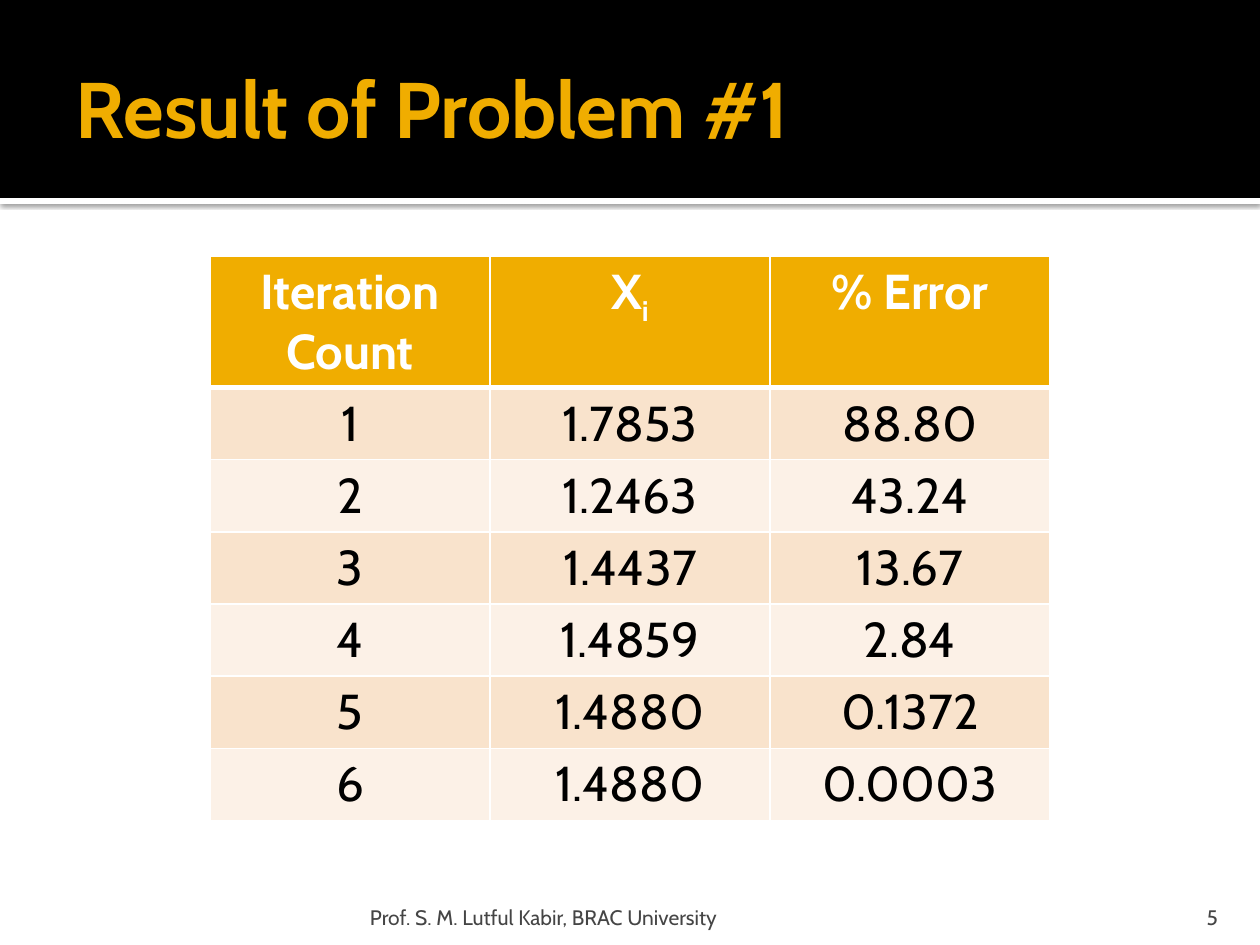
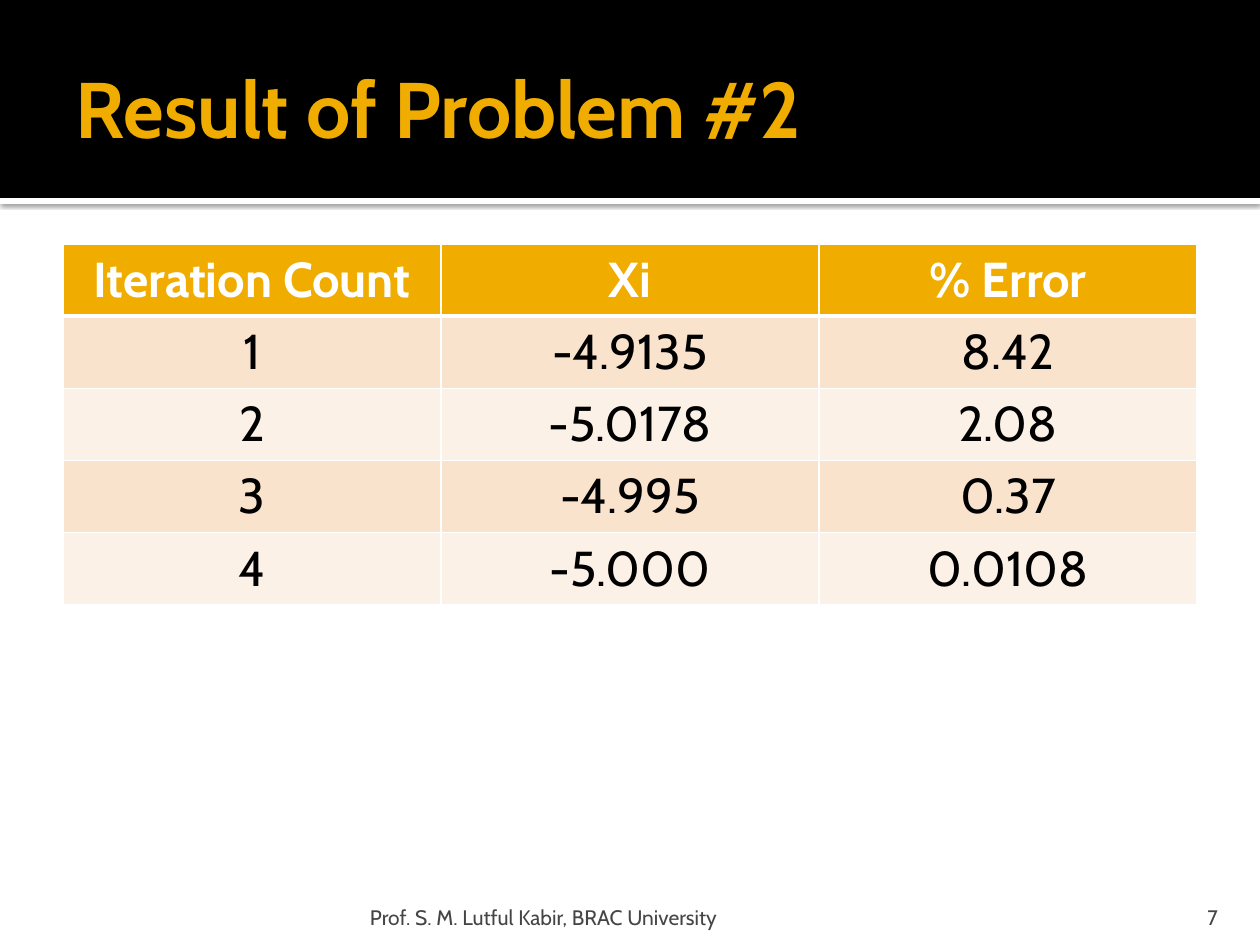
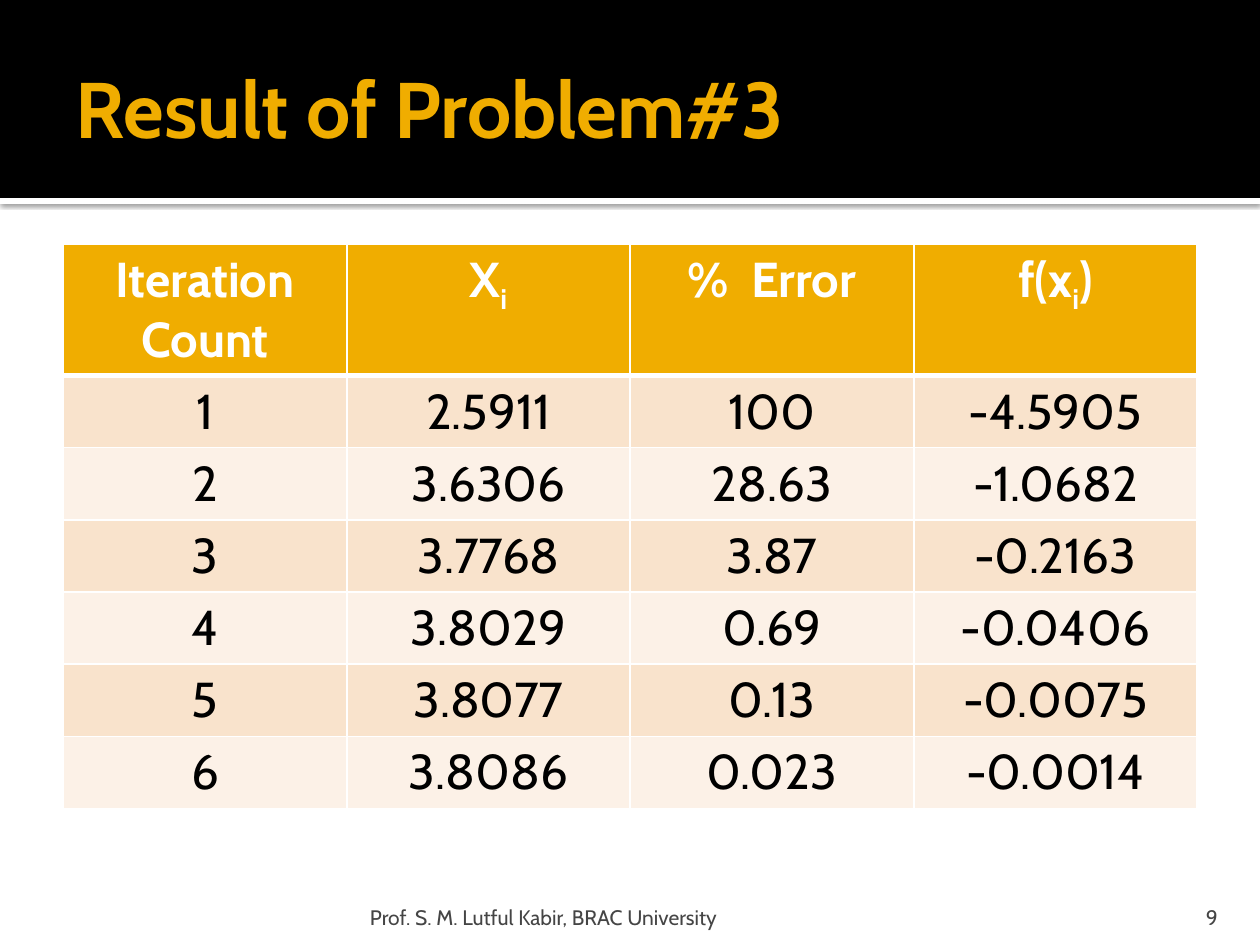
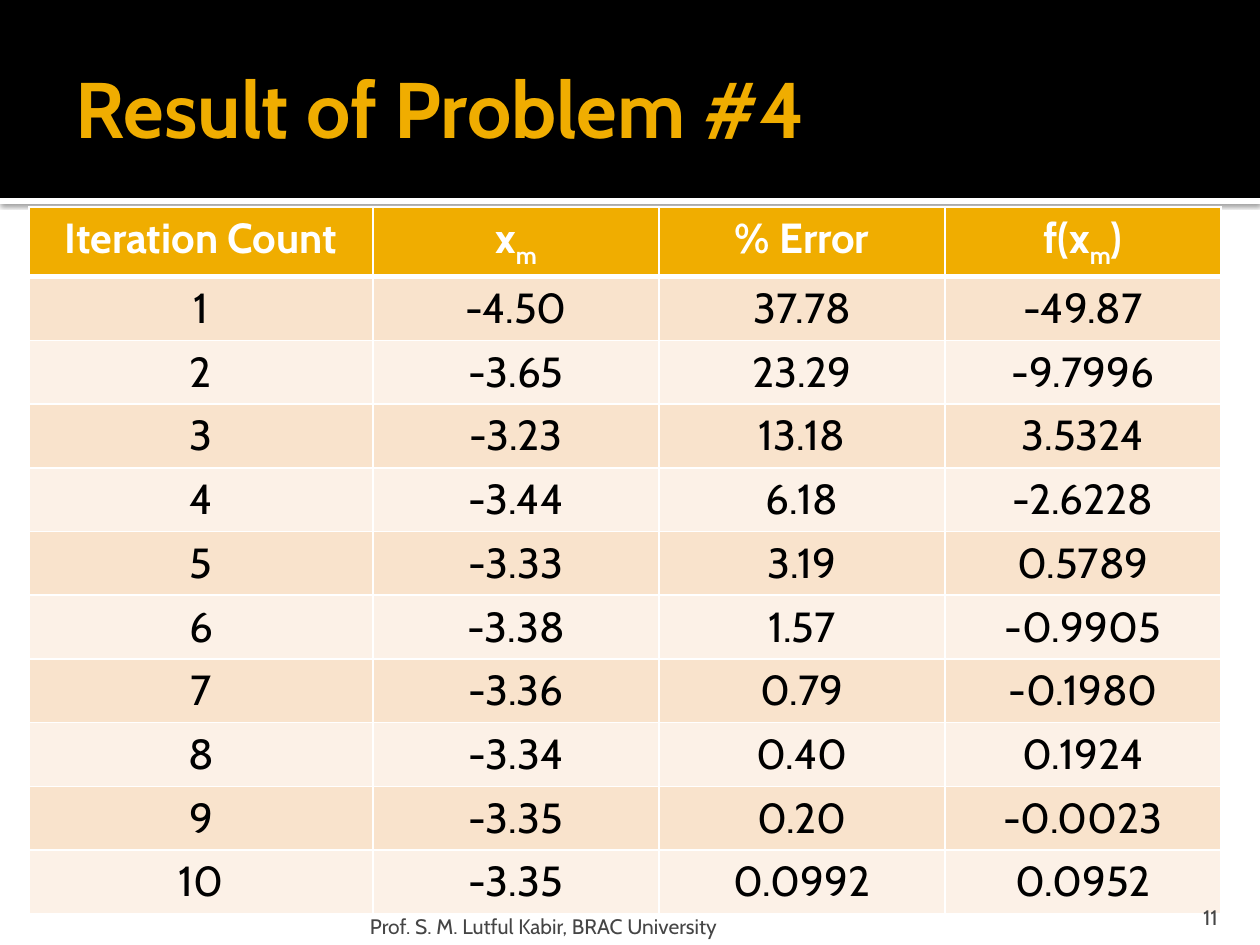
"""Build four slides of iteration results, one table per problem."""
from lxml import etree
from pptx import Presentation
from pptx import util as u
from pptx.dml.color import RGBColor
from pptx.enum import shapes, text
from pptx.oxml import ns

COLORS = {
    "band": "000000", "accent": "F0AD00", "paper": "FFFFFF", "footer": "454545",
    "body": "000000", "odd_row": "F9E3CC", "even_row": "FCF1E7",
}
FONT = "Cabin"
FOOTER = "Prof. S. M. Lutful Kabir, BRAC University"
SLIDE_WIDTH, SLIDE_HEIGHT = 1260, 945
BAND_HEIGHT, STRIPE_HEIGHT = 198, 6

RESULTS = [
    {
        "title": "Result of Problem #1", "number": "5", "footer_top": 892,
        "left": 210, "top": 256, "columns": [280] * 3,
        "header_height": 128, "row_height": 71, "size": 28,
        "header": ["Iteration Count", "X_i", "% Error"],
        "rows": [
            ("1", "1.7853", "88.80"),
            ("2", "1.2463", "43.24"),
            ("3", "1.4437", "13.67"),
            ("4", "1.4859", "2.84"),
            ("5", "1.4880", "0.1372"),
            ("6", "1.4880", "0.0003"),
        ],
    },
    {
        "title": "Result of Problem #2", "number": "7", "footer_top": 892,
        "left": 63, "top": 244, "columns": [378] * 3,
        "header_height": 71, "row_height": 71, "size": 28,
        "header": ["Iteration Count", "Xi", "% Error"],
        "rows": [
            ("1", "-4.9135", "8.42"),
            ("2", "-5.0178", "2.08"),
            ("3", "-4.995", "0.37"),
            ("4", "-5.000", "0.0108"),
        ],
    },
    {
        "title": "Result of Problem#3", "number": "9", "footer_top": 892,
        "left": 63, "top": 244, "columns": [284, 283, 284, 283],
        "header_height": 128, "row_height": 71, "size": 28,
        "header": ["Iteration Count", "X_i", "%  Error", "f(x_i)"],
        "rows": [
            ("1", "2.5911", "100", "-4.5905"),
            ("2", "3.6306", "28.63", "-1.0682"),
            ("3", "3.7768", "3.87", "-0.2163"),
            ("4", "3.8029", "0.69", "-0.0406"),
            ("5", "3.8077", "0.13", "-0.0075"),
            ("6", "3.8086", "0.023", "-0.0014"),
        ],
    },
    {
        "title": "Result of Problem #4", "number": "11", "footer_top": 901,
        "left": 29, "top": 207, "columns": [344, 286, 286, 276],
        "header_height": 68, "row_height": 63, "size": 24,
        "header": ["Iteration Count", "x_m", "% Error", "f(x_m)"],
        "rows": [
            ("1", "-4.50", "37.78", "-49.87"),
            ("2", "-3.65", "23.29", "-9.7996"),
            ("3", "-3.23", "13.18", "3.5324"),
            ("4", "-3.44", "6.18", "-2.6228"),
            ("5", "-3.33", "3.19", "0.5789"),
            ("6", "-3.38", "1.57", "-0.9905"),
            ("7", "-3.36", "0.79", "-0.1980"),
            ("8", "-3.34", "0.40", "0.1924"),
            ("9", "-3.35", "0.20", "-0.0023"),
            ("10", "-3.35", "0.0992", "0.0952"),
        ],
    },
]


def px(length):
    return u.Emu(round(length * 914400 / 126))


def rgb(name):
    return RGBColor.from_string(COLORS[name])


def add_element(parent, tag, **attributes):
    element = etree.SubElement(parent, ns.qn(tag))
    for name, value in attributes.items():
        element.set(name, str(value))
    return element


def format_run(run, size, color, bold=False):
    run.font.name = FONT
    run.font.size = u.Pt(size)
    run.font.bold = bold
    run.font.color.rgb = rgb(color)


def set_text(shape, words, size, color, anchor, insets, align, bold=False):
    frame = shape.text_frame
    frame.text = words
    frame.word_wrap = True
    frame.auto_size = text.MSO_AUTO_SIZE.NONE
    frame.vertical_anchor = anchor
    (frame.margin_left, frame.margin_top,
     frame.margin_right, frame.margin_bottom) = map(px, insets)
    paragraph = frame.paragraphs[0]
    paragraph.alignment = align
    format_run(paragraph.runs[0], size, color, bold)


def add_band(slide, top, height, color, layer):
    band = slide.shapes.add_shape(
        shapes.MSO_SHAPE.RECTANGLE, 0, px(top), px(SLIDE_WIDTH), px(height))
    band.fill.solid()
    band.fill.fore_color.rgb = rgb(color)
    band.line.fill.background()
    band.shadow.inherit = False
    slide.shapes._spTree.insert(2 + layer, band._element)
    return band


def add_bands(slide):
    stripe = add_band(slide, BAND_HEIGHT, STRIPE_HEIGHT, "paper", 0)
    effects = stripe._element.spPr.find(ns.qn("a:effectLst"))
    shadow = add_element(effects, "a:outerShdw", blurRad=u.Pt(2.5), dist=u.Pt(0.8),
                         dir=90 * 60000, algn="t", rotWithShape=0)
    shade = add_element(shadow, "a:srgbClr", val=COLORS["band"])
    add_element(shade, "a:alpha", val=60000)
    add_band(slide, 0, BAND_HEIGHT, "band", 1)


def add_title(slide, words):
    title = slide.shapes.title
    title.left, title.top, title.width, title.height = map(px, (63, 21, 1134, 173))
    set_text(title, words, 45, "accent", text.MSO_ANCHOR.MIDDLE,
             (13, 6, 6, 6), text.PP_ALIGN.LEFT, bold=True)


def add_footer(slide, words, left, top, width, side_inset, align):
    box = slide.shapes.add_textbox(px(left), px(top), px(width), px(38))
    set_text(box, words, 12, "footer", text.MSO_ANCHOR.BOTTOM,
             (side_inset, 6, side_inset, 0), align)


def set_borders(cell, top, bottom):
    properties = cell._tc.get_or_add_tcPr()
    for side, width in (("L", 1), ("R", 1), ("T", top), ("B", bottom)):
        line = add_element(properties, f"a:ln{side}", w=u.Pt(width))
        fill = add_element(line, "a:solidFill")
        add_element(fill, "a:srgbClr", val=COLORS["paper"])


def fill_cell(cell, words, row, size):
    """Write a cell, lowering the letter that follows an underscore."""
    is_header = row == 0
    set_borders(cell, 3 if row == 1 else 1, 3 if is_header else 1)
    cell.fill.solid()
    cell.fill.fore_color.rgb = rgb(
        "accent" if is_header else "odd_row" if row % 2 else "even_row")
    paragraph = cell.text_frame.paragraphs[0]
    paragraph.alignment = text.PP_ALIGN.CENTER
    base, _, rest = words.partition("_")
    for part, is_subscript in ((base, False), (rest[:1], True), (rest[1:], False)):
        if part:
            run = paragraph.add_run()
            run.text = part
            format_run(run, size, "paper" if is_header else "body", is_header)
            if is_subscript:
                run._r.get_or_add_rPr().set("baseline", "-25000")


def add_results(slide, result):
    rows = [result["header"], *result["rows"]]
    heights = [result["header_height"]] + [result["row_height"]] * len(result["rows"])
    columns = result["columns"]
    table = slide.shapes.add_table(
        len(rows), len(columns), px(result["left"]), px(result["top"]),
        px(sum(columns)), px(sum(heights))).table
    for column, width in zip(table.columns, columns):
        column.width = px(width)
    for index, (words, height) in enumerate(zip(rows, heights)):
        table.rows[index].height = px(height)
        for cell, word in zip(table.rows[index].cells, words):
            fill_cell(cell, word, index, result["size"])


def main():
    presentation = Presentation()
    presentation.slide_width = px(SLIDE_WIDTH)
    presentation.slide_height = px(SLIDE_HEIGHT)
    for result in RESULTS:
        slide = presentation.slides.add_slide(presentation.slide_layouts[5])
        add_bands(slide)
        add_title(slide, result["title"])
        add_results(slide, result)
        add_footer(slide, FOOTER, 364, result["footer_top"], 759, 6, text.PP_ALIGN.LEFT)
        add_footer(slide, result["number"], 1130, 892, 101, 13, text.PP_ALIGN.RIGHT)
    presentation.save("out.pptx")


if __name__ == "__main__":
    main()
